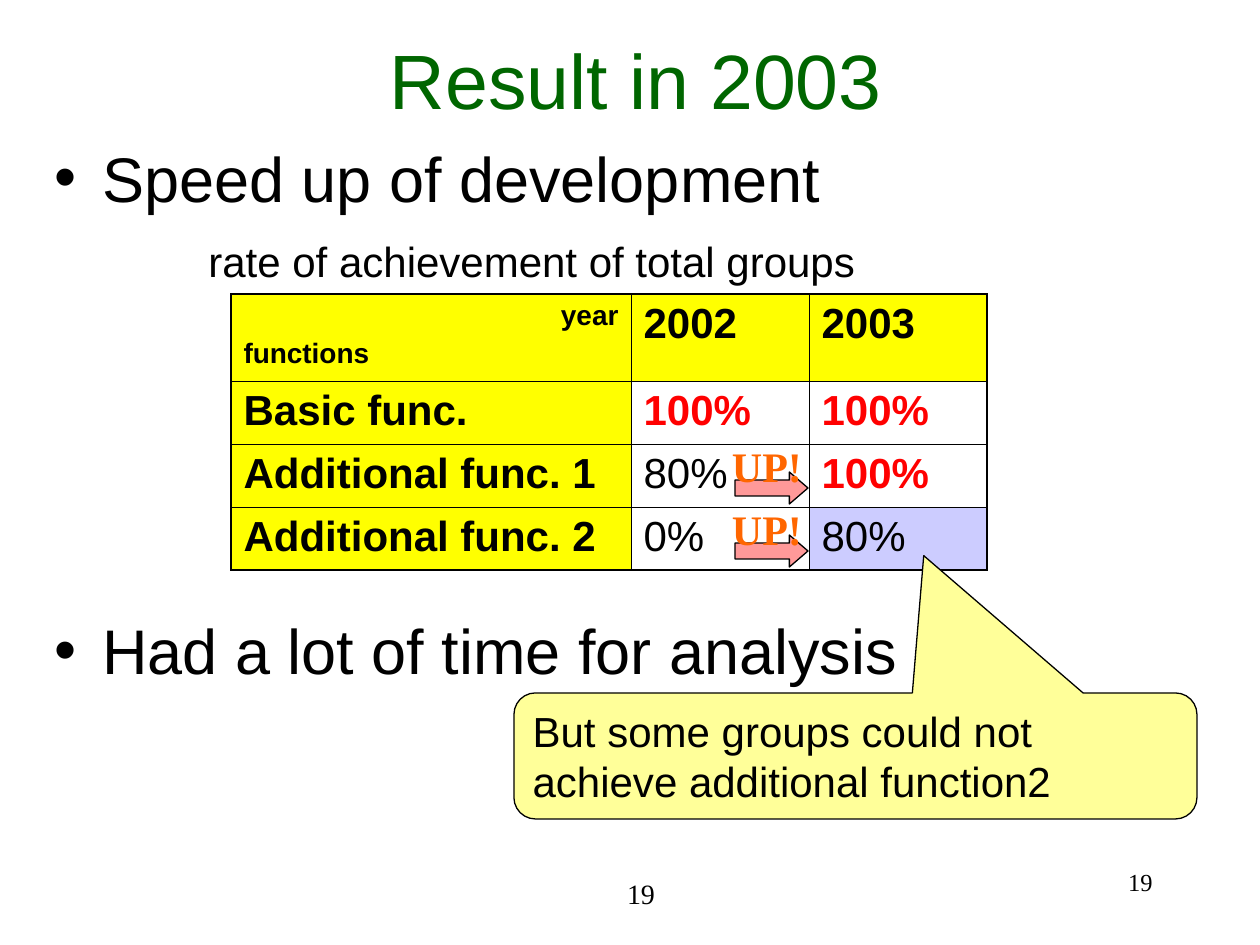
import pptx
import pptx.util
from lxml import etree
from pptx.dml.color import RGBColor
from pptx.enum.shapes import MSO_SHAPE
from pptx.enum.text import MSO_ANCHOR, PP_ALIGN
from pptx.oxml.ns import qn

EMU_PER_PX = 914400 / 126

BLACK = RGBColor(0x00, 0x00, 0x00)
WHITE = RGBColor(0xFF, 0xFF, 0xFF)
GREEN = RGBColor(0x00, 0x66, 0x00)
YELLOW = RGBColor(0xFF, 0xFF, 0x00)
RED = RGBColor(0xFF, 0x00, 0x00)
LAVENDER = RGBColor(0xCC, 0xCC, 0xFF)
PINK = RGBColor(0xFF, 0x99, 0x99)
ORANGE = RGBColor(0xFF, 0x66, 0x00)
PALE_YELLOW = RGBColor(0xFF, 0xFF, 0x99)

SANS = "Arial"
SERIF = "Times New Roman"

TABLE_LEFT, TABLE_TOP = 231, 294
COLUMN_WIDTHS = [400, 178, 178]
ROW_HEIGHTS = [87, 63, 63, 63]
RESULTS = [
    ["year\nfunctions", "2002", "2003"],
    ["Basic func.", "100%", "100%"],
    ["Additional func. 1", "80%", "100%"],
    ["Additional func. 2", "0%", "80%"],
]


def px(length):
    return pptx.util.Emu(round(length * EMU_PER_PX))


def format_paragraph(paragraph, size, color=BLACK, font=SANS, bold=False,
                     align=PP_ALIGN.LEFT):
    paragraph.alignment = align
    for run in paragraph.runs:
        run.font.size = pptx.util.Pt(size)
        run.font.name = font
        run.font.bold = bold
        run.font.color.rgb = color


def add_label(slide, box, text, size, **style):
    label = slide.shapes.add_textbox(*map(px, box))
    label.text_frame.word_wrap = True
    label.text_frame.text = text
    format_paragraph(label.text_frame.paragraphs[0], size, **style)
    return label


def add_outlined_shape(slide, kind, box, fill, adjustments):
    shape = slide.shapes.add_shape(kind, *map(px, box))
    shape.shadow.inherit = False
    shape.fill.solid()
    shape.fill.fore_color.rgb = fill
    shape.line.color.rgb = BLACK
    shape.line.width = pptx.util.Pt(0.75)
    for index, value in enumerate(adjustments):
        shape.adjustments[index] = value
    return shape


def set_indent(paragraph, margin, hanging=0, bullet=None):
    properties = paragraph._p.get_or_add_pPr()
    properties.set("marL", str(px(margin)))
    properties.set("indent", str(-px(hanging)))
    if bullet:
        etree.SubElement(properties, qn("a:buFont"), typeface=SANS)
        etree.SubElement(properties, qn("a:buChar"), char=bullet)


def set_border(cell, side, width):
    line = etree.SubElement(cell._tc.get_or_add_tcPr(), qn("a:ln" + side),
                            w=str(pptx.util.Pt(width)))
    fill = etree.SubElement(line, qn("a:solidFill"))
    etree.SubElement(fill, qn("a:srgbClr"), val=str(BLACK))


def set_title(slide):
    title = slide.shapes.title
    title.left, title.top, title.width, title.height = map(px, (242, 21, 788, 116))
    title.text_frame.vertical_anchor = MSO_ANCHOR.MIDDLE
    title.text_frame.text = "Result in 2003"
    format_paragraph(title.text_frame.paragraphs[0], 44, GREEN, align=PP_ALIGN.CENTER)


def add_findings(slide):
    findings = slide.shapes.add_textbox(*map(px, (42, 133, 1218, 633))).text_frame
    findings.word_wrap = True
    findings.text = ("Speed up of development\n"
                     "rate of achievement of total groups\n"
                     "Had a lot of time for analysis")
    speed, table_caption, analysis = findings.paragraphs
    for finding in (speed, analysis):
        set_indent(finding, 48, 48, "•")
        format_paragraph(finding, 36)
    set_indent(table_caption, 154)
    format_paragraph(table_caption, 24)
    table_caption.space_before = pptx.util.Pt(12)
    # This gap leaves room for the table
    analysis.space_before = pptx.util.Pt(186)


def format_result(cell, text, row, column):
    last_row, last_column = len(ROW_HEIGHTS) - 1, len(COLUMN_WIDTHS) - 1
    is_heading = row == 0 or column == 0
    is_complete = text == "100%"
    is_corner = row == 0 and column == 0

    cell.text = text
    for paragraph in cell.text_frame.paragraphs:
        format_paragraph(paragraph, 16 if is_corner else 24,
                         RED if is_complete else BLACK,
                         bold=is_heading or is_complete)
    if is_corner:
        year, functions = cell.text_frame.paragraphs
        year.alignment = PP_ALIGN.RIGHT
        functions.space_before = pptx.util.Pt(4)

    # Thick lines run round the outside, thin ones between cells
    outer_sides = {"L": column == 0, "R": column == last_column,
                   "T": row == 0, "B": row == last_row}
    for side, is_outer in outer_sides.items():
        set_border(cell, side, 1.08 if is_outer else 0.45)

    cell.fill.solid()
    if is_heading:
        cell.fill.fore_color.rgb = YELLOW
    elif (row, column) == (last_row, last_column):
        cell.fill.fore_color.rgb = LAVENDER
    else:
        cell.fill.fore_color.rgb = WHITE


def add_results_table(slide):
    box = (TABLE_LEFT, TABLE_TOP, sum(COLUMN_WIDTHS), sum(ROW_HEIGHTS))
    table = slide.shapes.add_table(len(ROW_HEIGHTS), len(COLUMN_WIDTHS),
                                   *map(px, box)).table
    table.first_row = False
    table.horz_banding = False
    for column, width in zip(table.columns, COLUMN_WIDTHS):
        column.width = px(width)
    for row, height in zip(table.rows, ROW_HEIGHTS):
        row.height = px(height)
    for row, values in enumerate(RESULTS):
        for column, text in enumerate(values):
            format_result(table.cell(row, column), text, row, column)


def add_up_arrow(slide, row):
    row_top = TABLE_TOP + sum(ROW_HEIGHTS[:row])
    add_outlined_shape(slide, MSO_SHAPE.RIGHT_ARROW, (735, row_top + 28, 73, 32),
                       PINK, [0.5, 0.58])
    up = add_label(slide, (722, row_top - 3, 90, 48), "UP!", 24, color=ORANGE,
                   font=SERIF, bold=True, align=PP_ALIGN.CENTER)
    frame = up.text_frame
    frame.margin_left = frame.margin_right = 0
    frame.margin_top = frame.margin_bottom = 0


def add_callout(slide):
    callout = add_outlined_shape(slide, MSO_SHAPE.ROUNDED_RECTANGULAR_CALLOUT,
                                 (514, 693, 683, 126), PALE_YELLOW,
                                 [0.1, -1.59, 0.17])
    frame = callout.text_frame
    frame.word_wrap = True
    frame.vertical_anchor = MSO_ANCHOR.TOP
    frame.text = "But some groups could not achieve additional function2"
    format_paragraph(frame.paragraphs[0], 24)


def add_page_numbers(slide):
    centre = add_label(slide, (557, 872, 168, 42), "19", 16, font=SERIF,
                       align=PP_ALIGN.CENTER)
    centre.text_frame.vertical_anchor = MSO_ANCHOR.MIDDLE
    add_label(slide, (903, 861, 262, 63), "19", 14, font=SERIF, align=PP_ALIGN.RIGHT)


def main():
    deck = pptx.Presentation()
    deck.slide_width, deck.slide_height = px(1260), px(945)
    slide = deck.slides.add_slide(deck.slide_layouts[5])

    set_title(slide)
    add_findings(slide)
    add_results_table(slide)
    for improved_row in (2, 3):
        add_up_arrow(slide, improved_row)
    add_callout(slide)
    add_page_numbers(slide)

    deck.save("out.pptx")


if __name__ == "__main__":
    main()
